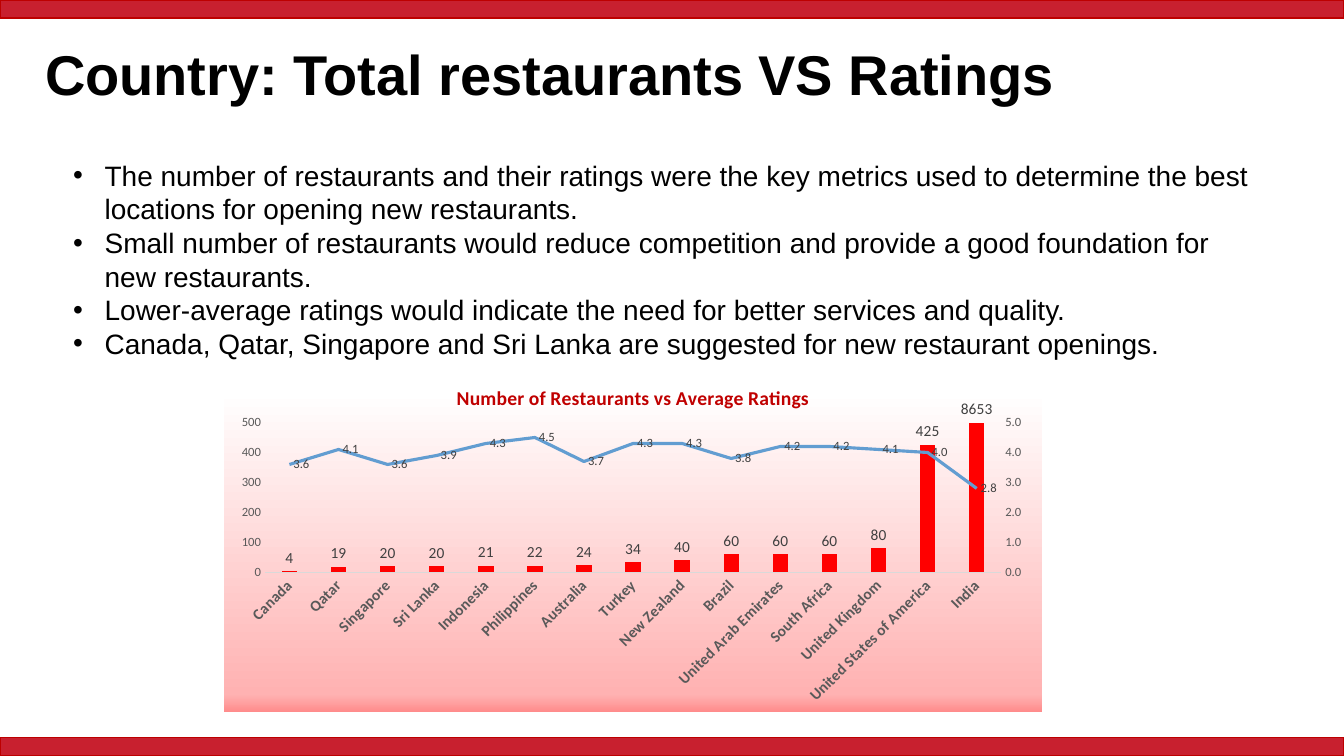
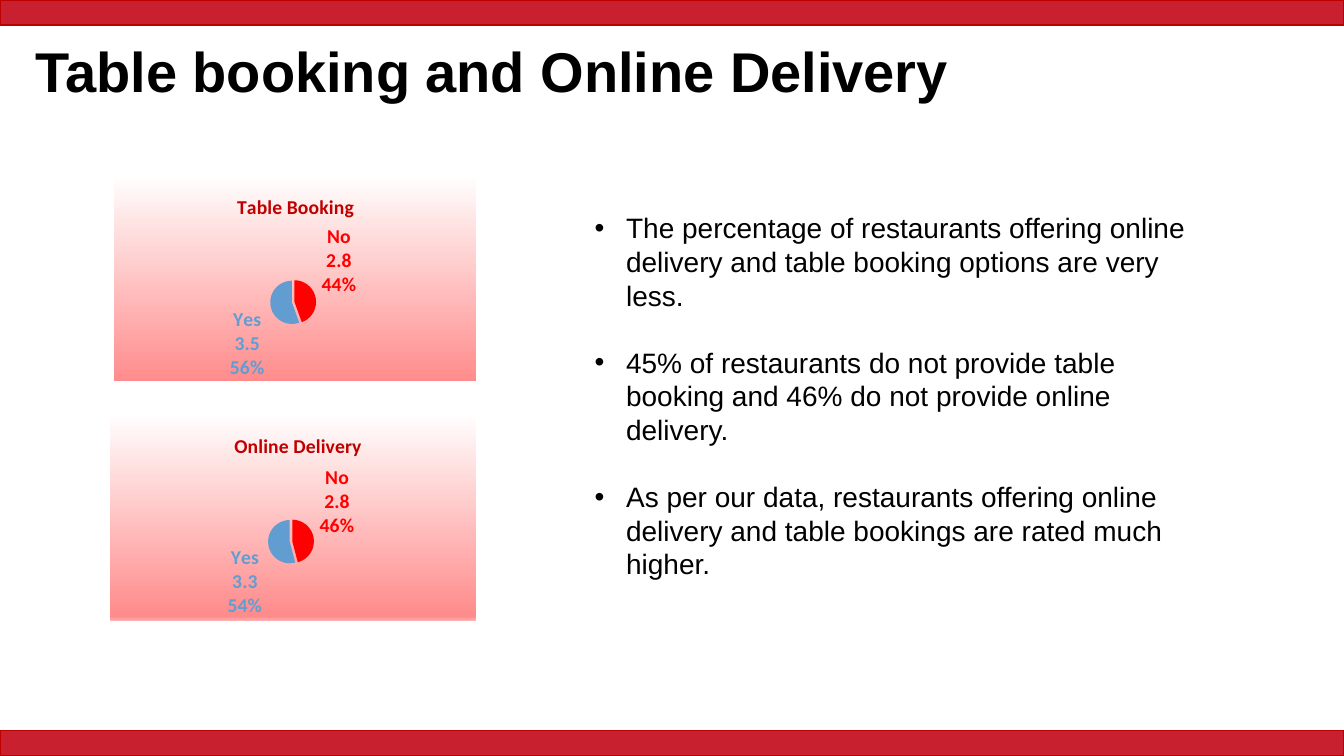
"""Build two slides on restaurant ratings, with a combined chart and two pies."""
from copy import deepcopy

from pptx import Presentation
from pptx.chart.axis import ValueAxis
from pptx.chart.data import CategoryChartData
from pptx.dml.color import RGBColor
from pptx.enum.chart import XL_CHART_TYPE, XL_LABEL_POSITION, XL_MARKER_STYLE, XL_TICK_MARK
from pptx.enum.shapes import MSO_SHAPE
from pptx.enum.text import MSO_ANCHOR, MSO_AUTO_SIZE, PP_ALIGN
from pptx.oxml import parse_xml
from pptx.oxml.ns import nsdecls, qn
from pptx.util import Pt

COLUMN, PIE = XL_CHART_TYPE.COLUMN_CLUSTERED, XL_CHART_TYPE.PIE
OUTSIDE, RIGHT = XL_LABEL_POSITION.OUTSIDE_END, XL_LABEL_POSITION.RIGHT
NO_MARKER, NO_TICK = XL_MARKER_STYLE.NONE, XL_TICK_MARK.NONE
RECT, LEFT = MSO_SHAPE.RECTANGLE, PP_ALIGN.LEFT
TOP, MIDDLE, NO_FIT = MSO_ANCHOR.TOP, MSO_ANCHOR.MIDDLE, MSO_AUTO_SIZE.NONE

BLACK = RGBColor(0x00, 0x00, 0x00)
BAND = RGBColor(0xC8, 0x20, 0x2F)
BAND_LINE = RGBColor(0xBD, 0x00, 0x00)
CHART_TITLE = RGBColor(0xC0, 0x00, 0x00)
RED = RGBColor(0xFF, 0x00, 0x00)
BLUE = RGBColor(0x62, 0x9D, 0xD1)
AXIS_TEXT = RGBColor(0x59, 0x59, 0x59)
AXIS_LINE = RGBColor(0xD9, 0xD9, 0xD9)
LABEL_TEXT = RGBColor(0x40, 0x40, 0x40)
WHITE = RGBColor(0xFF, 0xFF, 0xFF)
PINK = RGBColor(0xFF, 0xB2, 0xB2)
SALMON = RGBColor(0xFF, 0x8C, 0x8C)

WIDTH, HEIGHT = 960, 540
HEADING_FONT, CHART_FONT = "Arial", "Calibri"

COUNTRIES = [
    ("Canada", 4, 3.6), ("Qatar", 19, 4.1), ("Singapore", 20, 3.6),
    ("Sri Lanka", 20, 3.9), ("Indonesia", 21, 4.3), ("Philippines", 22, 4.5),
    ("Australia", 24, 3.7), ("Turkey", 34, 4.3), ("New Zealand", 40, 4.3),
    ("Brazil", 60, 3.8), ("United Arab Emirates", 60, 4.2),
    ("South Africa", 60, 4.2), ("United Kingdom", 80, 4.1),
    ("United States of America", 425, 4.0), ("India", 8653, 2.8),
]
COUNTRY_CHART = dict(
    title="Number of Restaurants vs Average Ratings", box=(160, 259.5, 584.5, 249),
    title_at=(0.28, 0.05), plot_at=(0.05, 0.17, 0.9, 0.43),
    stops=[(8, WHITE), (95, PINK), (100, SALMON)])
PIE_LAYOUT = dict(title_at=(0.33, 0.08), plot_at=(0.43, 0.51, 0.13, 0.22))
PIES = [
    ((2.8, 3.5), dict(title="Table Booking", box=(81.5, 123.5, 258.5, 149),
                      stops=[(0, WHITE), (100, SALMON)], **PIE_LAYOUT)),
    ((2.8, 3.3), dict(title="Online Delivery", box=(78.5, 294.5, 261.5, 149),
                      stops=[(0, WHITE), (97, SALMON), (98, SALMON), (100, PINK)],
                      **PIE_LAYOUT)),
]
COUNTRY_SLIDE = dict(
    title="Country: Total restaurants VS Ratings", title_box=(25, 25, 869, 61),
    band=13, body_box=(45, 109.5, 869, 153), gap=0,
    bullets=[
        "The number of restaurants and their ratings were the key metrics used to "
        "determine the best locations for opening new restaurants.",
        "Small number of restaurants would reduce competition and provide a good "
        "foundation for new restaurants.",
        "Lower-average ratings would indicate the need for better services and quality.",
        "Canada, Qatar, Singapore and Sri Lanka are suggested for new restaurant openings.",
    ])
SERVICE_SLIDE = dict(
    title="Table booking and Online Delivery", title_box=(18, 26, 876, 54),
    band=18, body_box=(417.5, 147, 461.5, 250), gap=24,
    bullets=[
        "The percentage of restaurants offering online delivery and table booking "
        "options are very less.",
        "45% of restaurants do not provide table booking and 46% do not provide "
        "online delivery.",
        "As per our data, restaurants offering online delivery and table bookings "
        "are rated much higher.",
    ])


def style_font(font, size, color, name=CHART_FONT, bold=False):
    font.name, font.size, font.bold = name, Pt(size), bold
    font.color.rgb = color


def place(shape, box):
    shape.left, shape.top, shape.width, shape.height = map(Pt, box)


def add_band(s, top, height):
    band = s.shapes.add_shape(RECT, 0, Pt(top), Pt(WIDTH), Pt(height))
    band.shadow.inherit = False
    band.fill.solid()
    band.fill.fore_color.rgb = BAND
    band.line.color.rgb = BAND_LINE
    band.line.width = Pt(1)


def add_slide(prs, title, title_box, band, body_box, gap, bullets):
    s = prs.slides.add_slide(prs.slide_layouts[1])
    heading, body = s.placeholders
    place(heading, title_box)
    tf = heading.text_frame
    tf.text = title
    tf.vertical_anchor, tf.auto_size = MIDDLE, NO_FIT
    p = tf.paragraphs[0]
    p.alignment, p.line_spacing = LEFT, 0.9
    style_font(p.runs[0].font, 40, BLACK, HEADING_FONT, True)

    place(body, body_box)
    tf = body.text_frame
    tf.text = "\n".join(bullets)
    tf.vertical_anchor, tf.auto_size = TOP, NO_FIT
    for p in tf.paragraphs:
        p.line_spacing, p.space_before, p.space_after = Pt(24), Pt(0), Pt(gap)
        pPr = p._p.get_or_add_pPr()
        pPr.set("marL", str(Pt(22.5)))
        pPr.set("indent", str(-Pt(22.5)))
        style_font(p.runs[0].font, 20, BLACK, HEADING_FONT)

    for top in (0, HEIGHT - band):
        add_band(s, top, band)
    return s


def layout_xml(place_at, inner=False):
    target = '<c:layoutTarget val="inner"/>' if inner else ""
    modes = "".join(f'<c:{k}Mode val="edge"/>' for k in "xy")
    values = "".join(f'<c:{k} val="{v}"/>' for k, v in zip("xywh", place_at))
    return parse_xml(f'<c:layout {nsdecls("c")}><c:manualLayout>{target}{modes}{values}'
                     '</c:manualLayout></c:layout>')


def set_layout(parent, layout, before):
    for old in parent.findall(qn("c:layout")):
        parent.remove(old)
    parent.insert(before, layout)


def add_chart(s, kind, data, title, box, title_at, plot_at, stops):
    chart = s.shapes.add_chart(kind, *map(Pt, box), data).chart
    style_font(chart.font, 10, BLACK)
    chart.has_legend = False
    chart.has_title = True
    tf = chart.chart_title.text_frame
    tf.text = title
    style_font(tf.paragraphs[0].runs[0].font, 14, CHART_TITLE, bold=True)
    chart.chart_title.include_in_layout = False

    root = chart.element
    set_layout(root.find(".//" + qn("c:title")), layout_xml(title_at), 1)
    set_layout(root.find(".//" + qn("c:plotArea")), layout_xml(plot_at, True), 0)
    gs = "".join(f'<a:gs pos="{pos * 1000}"><a:srgbClr val="{color}"/></a:gs>'
                 for pos, color in stops)
    root.find(qn("c:txPr")).addprevious(parse_xml(
        f'<c:spPr {nsdecls("c", "a")}><a:gradFill><a:gsLst>{gs}</a:gsLst>'
        '<a:lin ang="5400000" scaled="0"/></a:gradFill><a:ln><a:noFill/></a:ln></c:spPr>'))
    return chart


def style_value_axis(axis, top, step, number_format):
    axis.minimum_scale, axis.maximum_scale, axis.major_unit = 0, top, step
    axis.has_major_gridlines = False
    axis.major_tick_mark = NO_TICK
    axis.format.line.fill.background()
    labels = axis.tick_labels
    labels.number_format, labels.number_format_is_linked = number_format, False
    style_font(labels.font, 9, AXIS_TEXT)


def move_to_right_axis(chart):
    """Turn the second column series into a line on its own right axis."""
    area = chart.element.find(".//" + qn("c:plotArea"))
    bars = area.find(qn("c:barChart"))
    ser = bars.findall(qn("c:ser"))[1]
    for invert in ser.findall(qn("c:invertIfNegative")):
        ser.remove(invert)
    line = parse_xml(
        f'<c:lineChart {nsdecls("c")}><c:grouping val="standard"/><c:varyColors val="0"/>'
        '<c:marker val="1"/><c:axId val="201"/><c:axId val="202"/></c:lineChart>')
    line.insert(2, ser)
    bars.addnext(line)
    cat = deepcopy(area.find(qn("c:catAx")))
    val = deepcopy(area.find(qn("c:valAx")))
    area.find(qn("c:valAx")).addnext(val)
    val.addnext(cat)
    for axis, own, other in ((cat, "201", "202"), (val, "202", "201")):
        axis.find(qn("c:axId")).set("val", own)
        axis.find(qn("c:crossAx")).set("val", other)
    cat.find(qn("c:delete")).set("val", "1")
    val.find(qn("c:axPos")).set("val", "r")
    val.find(qn("c:crosses")).set("val", "max")
    return ValueAxis(val)


def show_labels(series, size, position, number_format):
    labels = series.data_labels
    labels.show_value, labels.position = True, position
    labels.number_format, labels.number_format_is_linked = number_format, False
    style_font(labels.font, size, LABEL_TEXT)


def add_country_chart(s):
    names, counts, ratings = zip(*COUNTRIES)
    data = CategoryChartData()
    data.categories = names
    data.add_series("Series 1", counts)
    data.add_series("Series 2", ratings)
    chart = add_chart(s, COLUMN, data, **COUNTRY_CHART)

    axis = chart.category_axis
    axis.major_tick_mark = NO_TICK
    axis.format.line.color.rgb = AXIS_LINE
    axis.format.line.width = Pt(0.75)
    style_font(axis.tick_labels.font, 11, AXIS_TEXT, bold=True)
    body = chart.element.find(".//" + qn("c:catAx") + "/" + qn("c:txPr")).find(qn("a:bodyPr"))
    body.set("rot", "-2700000")
    style_value_axis(chart.value_axis, 500, 100, "General")
    style_value_axis(move_to_right_axis(chart), 5, 1, "0.0")

    bar_plot, line_plot = chart.plots
    bar_plot.vary_by_categories = False
    bar_plot.gap_width, bar_plot.overlap = 219, -27
    bars, line = bar_plot.series[0], line_plot.series[0]
    bars.format.fill.solid()
    bars.format.fill.fore_color.rgb = RED
    line.smooth = False
    line.marker.style = NO_MARKER
    line.format.line.color.rgb = BLUE
    line.format.line.width = Pt(2.25)
    show_labels(bars, 11, OUTSIDE, "General")
    show_labels(line, 9, RIGHT, "0.0")


def add_pie(s, values, options):
    data = CategoryChartData(number_format="0.0")
    data.categories = ["No", "Yes"]
    data.add_series("Series 1", values)
    chart = add_chart(s, PIE, data, **options)
    ser = chart.plots[0].series[0]
    for i, color in enumerate((RED, BLUE)):
        point = ser.points[i]
        point.format.fill.solid()
        point.format.fill.fore_color.rgb = color
        style_font(point.data_label.font, 14, color, bold=True)
        point.data_label.position = OUTSIDE
    root = chart.element
    root.find(".//" + qn("c:dPt")).addprevious(
        parse_xml(f'<c:explosion {nsdecls("c")} val="6"/>'))
    for label in root.iter(qn("c:dLbl")):
        for tag in ("c:showCatName", "c:showPercent"):
            label.find(qn(tag)).set("val", "1")
        label.append(parse_xml(f'<c:separator {nsdecls("c")}>\n</c:separator>'))


def main():
    prs = Presentation()
    prs.slide_width, prs.slide_height = Pt(WIDTH), Pt(HEIGHT)
    add_country_chart(add_slide(prs, **COUNTRY_SLIDE))
    s = add_slide(prs, **SERVICE_SLIDE)
    for values, options in PIES:
        add_pie(s, values, options)
    prs.save("out.pptx")


if __name__ == "__main__":
    main()
